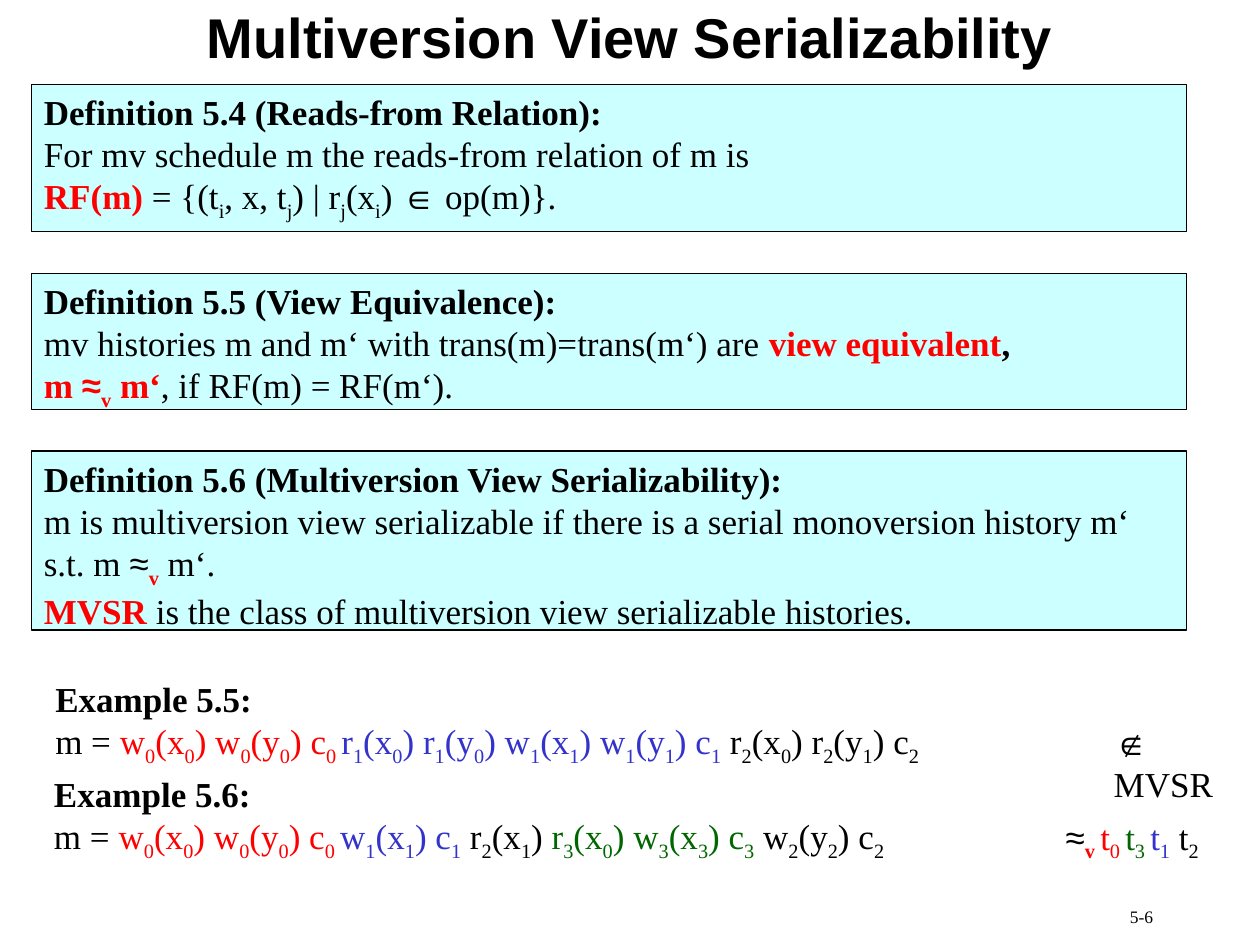
"""Build the slide on multiversion view serializability."""
import itertools

import pptx
import pptx.dml.color
import pptx.enum.shapes
import pptx.enum.text
import pptx.util

Inches = pptx.util.Inches
Pt = pptx.util.Pt
RGBColor = pptx.dml.color.RGBColor
ALIGN = pptx.enum.text.PP_ALIGN
AUTO_SIZE = pptx.enum.text.MSO_AUTO_SIZE
ANCHOR = pptx.enum.text.MSO_ANCHOR

BLACK = RGBColor(0x00, 0x00, 0x00)
RED = RGBColor(0xFF, 0x00, 0x00)
BLUE = RGBColor(0x33, 0x33, 0xCC)
GREEN = RGBColor(0x00, 0x66, 0x00)
PALE_CYAN = RGBColor(0xCC, 0xFF, 0xFF)
SERIF, SANS = "Times New Roman", "Arial"
MATH_SIGNS = "≈∈∉"


def add_runs(paragraph, segments, size=20, face=SERIF):
    """Add (text, colour, bold) segments; text between underscores is subscript."""
    for text, colour, bold in segments:
        for index, part in enumerate(text.split("_")):
            for is_sign, letters in itertools.groupby(part, lambda letter: letter in MATH_SIGNS):
                run = paragraph.add_run()
                run.text = "".join(letters)
                font_format = {"size": Pt(size), "bold": bold, "name": SANS if is_sign else face}
                for key, value in font_format.items():
                    setattr(run.font, key, value)
                run.font.color.rgb = colour
                if index % 2:
                    run.font._element.set("baseline", "-25000")


def add_text(box, lines, frame_format, hanging=0, align=ALIGN.LEFT, **font):
    """Add a text box with one paragraph per line and return its frame."""
    frame = slide.shapes.add_textbox(*map(Inches, box)).text_frame
    for key, value in frame_format.items():
        setattr(frame, key, value)
    for index, segments in enumerate(lines):
        paragraph = frame.add_paragraph() if index else frame.paragraphs[0]
        paragraph.alignment = align
        if hanging:
            properties = paragraph._p.get_or_add_pPr()
            properties.set("marL", str(Inches(hanging)))
            properties.set("indent", str(-Inches(hanging)))
        add_runs(paragraph, segments, **font)
    return frame


WRAPPED = {"word_wrap": True, "auto_size": AUTO_SIZE.NONE}
GROWING = {"word_wrap": True, "auto_size": AUTO_SIZE.SHAPE_TO_FIT_TEXT}
UNWRAPPED = {"word_wrap": False, "auto_size": AUTO_SIZE.SHAPE_TO_FIT_TEXT}
TITLE_FORMAT = {**WRAPPED, "vertical_anchor": ANCHOR.MIDDLE, "margin_left": 0,
                "margin_right": 0, "margin_top": 0, "margin_bottom": 0}

presentation = pptx.Presentation()
presentation.slide_width = Inches(10)
presentation.slide_height = Inches(7.5)
slide = presentation.slides.add_slide(presentation.slide_layouts[6])

add_text((7.17, 7.14, 2.08, 0.36), [[("5-6", BLACK, False)]], WRAPPED,
         align=ALIGN.RIGHT, size=10)
add_text((0, 0, 10, 0.58), [[("Multiversion View Serializability", BLACK, True)]],
         TITLE_FORMAT, align=ALIGN.CENTER, size=32, face=SANS)

definitions = [
    (0.67, 1.17, 9.25, 1.15, [
        [("Definition 5.4 (Reads-from Relation):", BLACK, True)],
        [("For mv schedule m the reads-from relation of m is", BLACK, False)],
        [("RF(m)", RED, True),
         (" = {(t_i_, x, t_j_) | r_j_(x_i_) ∈ op(m)}.", BLACK, False)],
    ]),
    (2.17, 1.08, 8.92, 1.15, [
        [("Definition 5.5 (View Equivalence):", BLACK, True)],
        [("mv histories m and m‘ with trans(m)=trans(m‘) are ", BLACK, False),
         ("view equivalent", RED, True), (",", BLACK, True)],
        [("m ≈_v_ m‘", RED, True), (", if RF(m) = RF(m‘).", BLACK, False)],
    ]),
    (3.58, 1.42, 9.33, 1.48, [
        [("Definition 5.6 (Multiversion View Serializability):", BLACK, True)],
        [("m is multiversion view serializable if there is a serial monoversion history m‘",
          BLACK, False)],
        [("s.t. m ≈", BLACK, False), ("_v_", RED, True), (" m‘.", BLACK, False)],
        [("MVSR", RED, True),
         (" is the class of multiversion view serializable histories.", BLACK, False)],
    ]),
]
for top, panel_height, text_width, text_height, lines in definitions:
    panel = slide.shapes.add_shape(pptx.enum.shapes.MSO_SHAPE.RECTANGLE, Inches(0.25),
                                   Inches(top), Inches(9.17), Inches(panel_height))
    panel.shadow.inherit = False
    panel.fill.solid()
    panel.fill.fore_color.rgb = PALE_CYAN
    panel.line.color.rgb = BLACK
    panel.line.width = Pt(0.75)
    add_text((0.25, top, text_width, text_height), lines, GROWING, hanging=0.54)

history_start = [("m = ", BLACK, False), ("w_0_(x_0_) w_0_(y_0_) c_0 _", RED, False)]
examples = [
    ((0.34, 5.33, 7.12, 0.82), "Example 5.5:", [
        ("r_1_(x_0_) r_1_(y_0_) w_1_(x_1_) w_1_(y_1_) c_1_", BLUE, False),
        (" r_2_(x_0_) r_2_(y_1_) c_2_", BLACK, False),
    ]),
    ((0.33, 6.08, 6.82, 0.82), "Example 5.6:", [
        ("w_1_(x_1_) c_1_", BLUE, False),
        (" r_2_(x_1_) ", BLACK, False),
        ("r_3_(x_0_) w_3_(x_3_) c_3_", GREEN, False),
        (" w_2_(y_2_) c_2_", BLACK, False),
    ]),
]
for box, heading, history in examples:
    add_text(box, [[(heading, BLACK, True)], history_start + history], UNWRAPPED)

add_text((8.74, 5.67, 1.25, 0.44), [[("∉ MVSR", BLACK, False)]],
         {**WRAPPED, "margin_right": Inches(0.25)})
add_text((8.36, 6.42, 1.41, 0.48), [[
    ("≈", BLACK, False), ("_v _", RED, True), ("t_0 _", RED, False),
    ("t_3 _", GREEN, False), ("t_1_", BLUE, False), (" t_2_", BLACK, False),
]], UNWRAPPED)

presentation.save("out.pptx")
